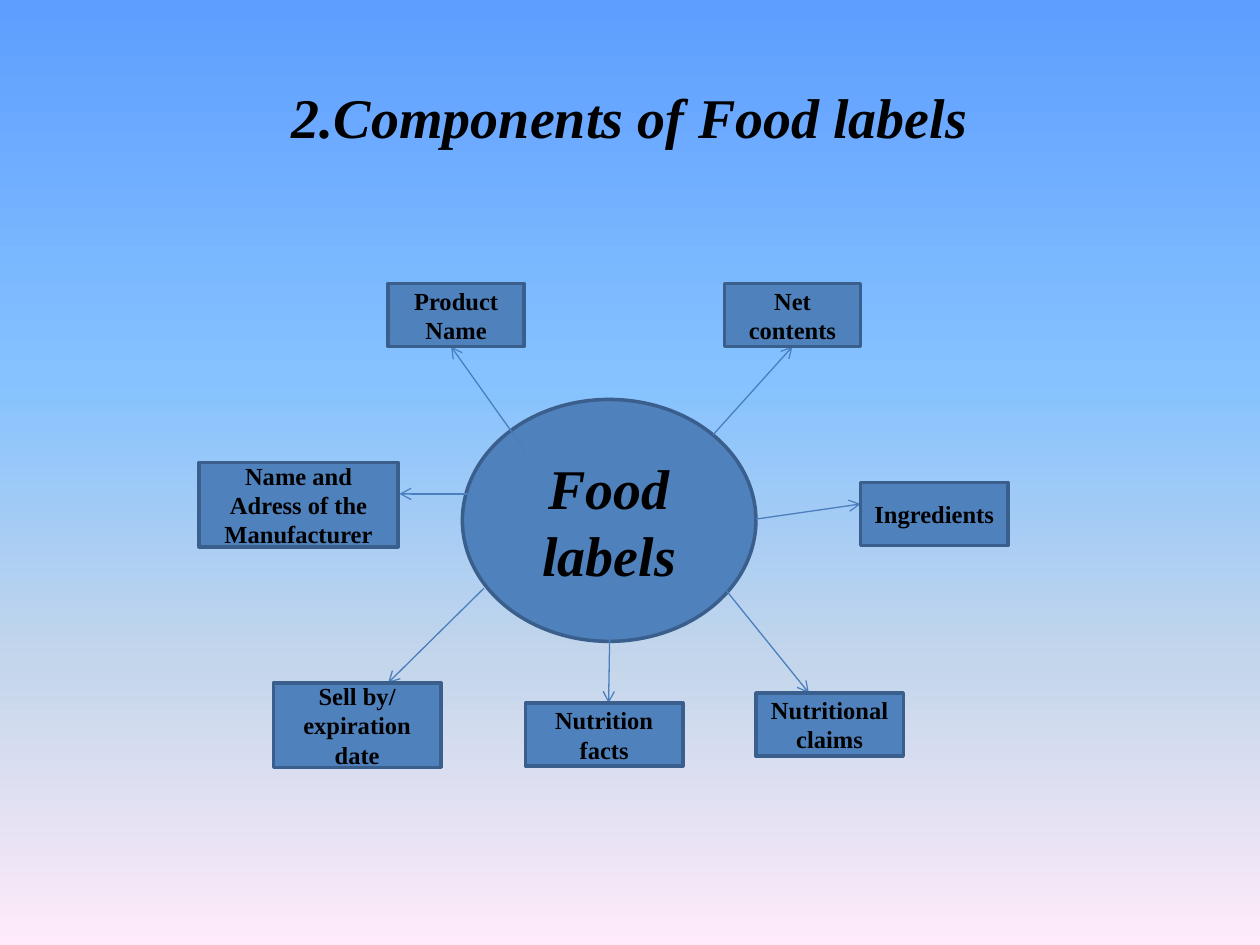
from dataclasses import dataclass

from lxml import etree
from pptx import Presentation
from pptx.dml.color import RGBColor
from pptx.enum.shapes import MSO_CONNECTOR, MSO_SHAPE
from pptx.enum.text import MSO_ANCHOR, PP_ALIGN
from pptx.oxml.ns import qn
from pptx.util import Inches, Pt

RECT = MSO_SHAPE.RECTANGLE
OVAL = MSO_SHAPE.OVAL
STRAIGHT = MSO_CONNECTOR.STRAIGHT
MIDDLE = MSO_ANCHOR.MIDDLE
CENTER = PP_ALIGN.CENTER

FONT = "Times New Roman"
BLACK = RGBColor(0x00, 0x00, 0x00)
FILL = RGBColor(0x4F, 0x81, 0xBD)
BORDER = RGBColor(0x3A, 0x5F, 0x8C)
ARROW = RGBColor(0x4B, 0x7E, 0xBC)
SKY = [
    (0, RGBColor(0x5E, 0x9E, 0xFF)),
    (40, RGBColor(0x85, 0xC2, 0xFF)),
    (70, RGBColor(0xC4, 0xD6, 0xEB)),
    (100, RGBColor(0xFF, 0xEB, 0xFA)),
]


@dataclass
class Node:
    text: str
    left: float
    top: float
    width: float
    height: float
    shape: int = RECT
    size: int = 14
    italic: bool = False


@dataclass
class Arrow:
    x1: float
    y1: float
    x2: float
    y2: float


HUB = Node("Food labels", 3.67, 3.17, 2.33, 1.92, OVAL, 32, True)
ARROWS = [
    Arrow(4.17, 3.58, 3.58, 2.75),
    Arrow(5.66, 3.45, 6.29, 2.75),
    Arrow(6, 4.12, 6.83, 4),
    Arrow(5.75, 4.67, 6.42, 5.5),
    Arrow(4.84, 5, 4.83, 5.58),
    Arrow(3.84, 4.67, 3.08, 5.42),
    Arrow(3.75, 3.92, 3.17, 3.92),
]
LABELS = [
    Node("Net contents", 5.75, 2.25, 1.08, 0.5),
    Node("Ingredients", 6.83, 3.83, 1.17, 0.5),
    Node("Nutritional claims", 6, 5.5, 1.17, 0.5),
    Node("Sell by/ expiration date", 2.17, 5.42, 1.33, 0.67),
    Node("Name and Adress of the Manufacturer", 1.58, 3.67, 1.58, 0.67),
    Node("Product Name", 3.08, 2.25, 1.08, 0.5),
    Node("Nutrition facts", 4.17, 5.58, 1.25, 0.5),
]


def set_background(s) -> None:
    fill = s.background.fill
    fill.gradient()
    fill.gradient_angle = 270
    stops = s.element.find(".//" + qn("a:gsLst"))
    for stop in list(stops):
        stops.remove(stop)
    for pos, color in SKY:
        stop = etree.SubElement(stops, qn("a:gs"), pos=str(pos * 1000))
        etree.SubElement(stop, qn("a:srgbClr"), val=str(color))


def write_text(sp, text: str, size: int, italic: bool) -> None:
    tf = sp.text_frame
    tf.word_wrap = True
    tf.vertical_anchor = MIDDLE
    p = tf.paragraphs[0]
    p.text = text
    p.alignment = CENTER
    p.font.name = FONT
    p.font.size = Pt(size)
    p.font.bold = True
    p.font.italic = italic
    p.font.color.rgb = BLACK


def draw_node(s, node: Node) -> None:
    sp = s.shapes.add_shape(node.shape, Inches(node.left), Inches(node.top),
                            Inches(node.width), Inches(node.height))
    sp.shadow.inherit = False
    sp.fill.solid()
    sp.fill.fore_color.rgb = FILL
    sp.line.color.rgb = BORDER
    sp.line.width = Pt(2)
    write_text(sp, node.text, node.size, node.italic)


def draw_arrow(s, arrow: Arrow) -> None:
    cxn = s.shapes.add_connector(STRAIGHT, Inches(arrow.x1), Inches(arrow.y1),
                                 Inches(arrow.x2), Inches(arrow.y2))
    cxn.line.color.rgb = ARROW
    cxn.line.width = Pt(0.75)
    props = cxn.element.spPr
    etree.SubElement(props.find(qn("a:ln")), qn("a:tailEnd"), type="arrow")
    etree.SubElement(props, qn("a:effectLst"))


def main() -> None:
    prs = Presentation()
    prs.slide_width = Inches(10)
    prs.slide_height = Inches(7.5)
    s = prs.slides.add_slide(prs.slide_layouts[5])
    set_background(s)

    title = s.shapes.title
    title.left, title.top = Inches(0.5), Inches(0.3)
    title.width, title.height = Inches(9), Inches(1.25)
    write_text(title, "2.Components of Food labels", 32, True)

    draw_node(s, HUB)
    for arrow in ARROWS:
        draw_arrow(s, arrow)
    for label in LABELS:
        draw_node(s, label)

    prs.save("out.pptx")


if __name__ == "__main__":
    main()
